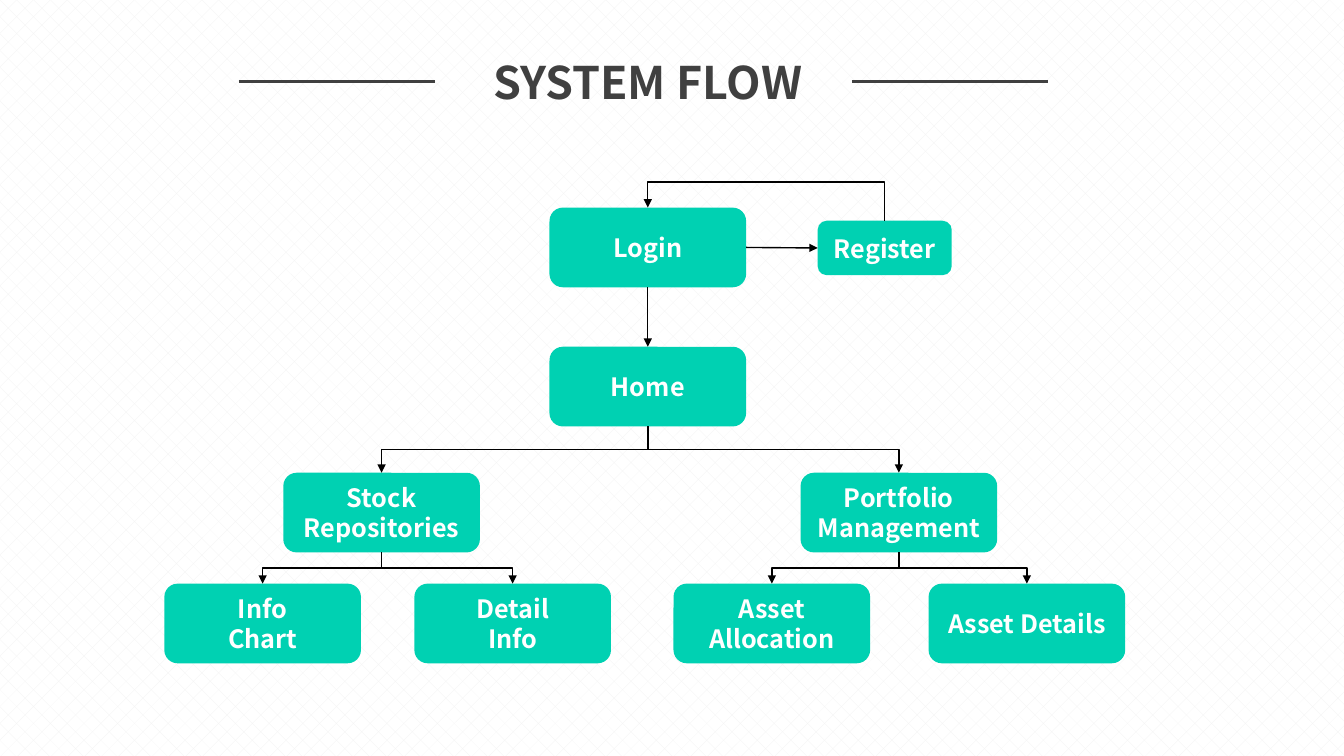
from lxml import etree
from pptx import Presentation
from pptx.dml.color import RGBColor
from pptx.enum.dml import MSO_PATTERN
from pptx.enum.shapes import MSO_CONNECTOR as LINK, MSO_SHAPE
from pptx.enum.text import MSO_ANCHOR, PP_ALIGN
from pptx.oxml.ns import qn
from pptx.util import Inches, Pt

COLORS = {"title": "404040", "step": "00D1B2", "label": "FFFFFF",
          "arrow": "000000", "paper": "FFFFFF", "weave": "F2F2F2"}
FONT = "Noto Sans CJK SC"
TOP, LEFT, BOTTOM, RIGHT = range(4)
STEP_SIZE = (1.95, 0.79)
STEPS = {
    "login": ("Login", 5.45, 2.06, *STEP_SIZE),
    "home": ("Home", 5.45, 3.44, *STEP_SIZE),
    "register": ("Register", 8.11, 2.19, 1.33, 0.54),
    "stock": ("Stock Repositories", 2.81, 4.69, *STEP_SIZE),
    "portfolio": ("Portfolio Management", 7.94, 4.69, *STEP_SIZE),
    "chart": ("Info\vChart", 1.63, 5.79, *STEP_SIZE),
    "detail": ("Detail\nInfo", 4.11, 5.79, *STEP_SIZE),
    "allocation": ("Asset Allocation", 6.68, 5.79, *STEP_SIZE),
    "assets": ("Asset Details", 9.21, 5.79, *STEP_SIZE),
}
BRANCHES = {"home": ("stock", "portfolio"), "stock": ("chart", "detail"),
            "portfolio": ("allocation", "assets")}


def color(name):
    """Return the named colour."""
    return RGBColor.from_string(COLORS[name])


def format_text(frame, size, name):
    """Centre the text of a frame and set its bold font."""
    frame.word_wrap = True
    frame.vertical_anchor = MSO_ANCHOR.MIDDLE
    for paragraph in frame.paragraphs:
        paragraph.alignment = PP_ALIGN.CENTER
        for run in paragraph.runs:
            run.font.name, run.font.size, run.font.bold = FONT, Pt(size), True
            run.font.color.rgb = color(name)
            east_asian = etree.SubElement(run.font._element, qn("a:ea"))
            east_asian.set("typeface", FONT)


def style_line(link, name, width, arrow=False):
    """Colour a connector, drop its shadow and add an arrowhead if asked."""
    link.line.color.rgb = color(name)
    link.line.width = Pt(width)
    if arrow:
        head = etree.SubElement(link.line._get_or_add_ln(), qn("a:tailEnd"))
        head.set("type", "triangle")
    etree.SubElement(link._element.spPr, qn("a:effectLst"))


def add_heading(slide, left, top, width, height):
    """Place the title between two rules of equal length."""
    title = slide.shapes.title
    title_width, rule_width = 3.67, 1.94
    title.left, title.top = Inches(left + 2.22), Inches(top)
    title.width, title.height = Inches(title_width), Inches(height)
    title.text_frame.text = "SYSTEM FLOW"
    format_text(title.text_frame, 32, "title")
    middle = Inches(top + height / 2)
    for start in (left, left + width - rule_width):
        rule = slide.shapes.add_connector(
            LINK.STRAIGHT, Inches(start), middle, Inches(start + rule_width), middle)
        style_line(rule, "title", 2.25)


def add_step(slide, label, left, top, width, height):
    """Draw one rounded step of the flow."""
    step = slide.shapes.add_shape(
        MSO_SHAPE.ROUNDED_RECTANGLE, *map(Inches, (left, top, width, height)))
    step.shadow.inherit = False
    step.fill.solid()
    step.fill.fore_color.rgb = color("step")
    step.line.fill.background()
    step.text_frame.text = label
    format_text(step.text_frame, 18, "label")
    return step


def join(slide, kind, source, source_side, target, target_side):
    """Connect the sides of two steps with an arrow."""
    link = slide.shapes.add_connector(kind, 0, 0, 0, 0)
    link.begin_connect(source, source_side)
    link.end_connect(target, target_side)
    style_line(link, "arrow", 1, arrow=True)
    return link


def add_elbow(slide, source, source_side, target, bend=0.5):
    """Join a step to the top of another by an arrow that leaves vertically."""
    link = join(slide, LINK.ELBOW, source, source_side, target, TOP)
    across, down = link.end_x - link.begin_x, link.end_y - link.begin_y
    center_x = (link.begin_x + link.end_x) // 2
    center_y = (link.begin_y + link.end_y) // 2
    frame = link._element.spPr.find(qn("a:xfrm"))
    for flip in ("flipH", "flipV"):
        frame.attrib.pop(flip, None)
    link.width, link.height = abs(down), abs(across)
    link.left, link.top = center_x - link.width // 2, center_y - link.height // 2
    if down > 0 > across:
        frame.set("rot", str(90 * 60000))
    else:
        frame.set("rot", str(270 * 60000))
        frame.set("flipH" if down > 0 else "flipV", "1")
    guides = link._element.spPr.find(qn("a:prstGeom")).get_or_add_avLst()
    guide = etree.SubElement(guides, qn("a:gd"))
    guide.set("name", "adj1")
    guide.set("fmla", f"val {round(bend * 100000)}")


def add_flow(slide, left, top):
    """Draw the steps from a top-left corner and link them."""
    first_left = min(place[1] for place in STEPS.values())
    first_top = min(place[2] for place in STEPS.values())
    steps = {key: add_step(slide, label, left + x - first_left,
                           top + y - first_top, width, height)
             for key, (label, x, y, width, height) in STEPS.items()}
    join(slide, LINK.STRAIGHT, steps["login"], RIGHT, steps["register"], LEFT)
    join(slide, LINK.STRAIGHT, steps["login"], BOTTOM, steps["home"], TOP)
    add_elbow(slide, steps["register"], TOP, steps["login"], bend=2.95)
    for parent, children in BRANCHES.items():
        for child in children:
            add_elbow(slide, steps[parent], BOTTOM, steps[child])


def main():
    """Build the slide and save it."""
    deck = Presentation()
    deck.slide_width, deck.slide_height = Inches(13.33), Inches(7.5)
    slide = deck.slides.add_slide(deck.slide_layouts[5])
    paper = slide.background.fill
    paper.patterned()
    paper.pattern = MSO_PATTERN.DIAGONAL_BRICK
    paper.fore_color.rgb = color("weave")
    paper.back_color.rgb = color("paper")
    add_heading(slide, 2.37, 0.49, 8.02, 0.64)
    add_flow(slide, 1.63, 2.06)
    deck.save("out.pptx")


if __name__ == "__main__":
    main()
